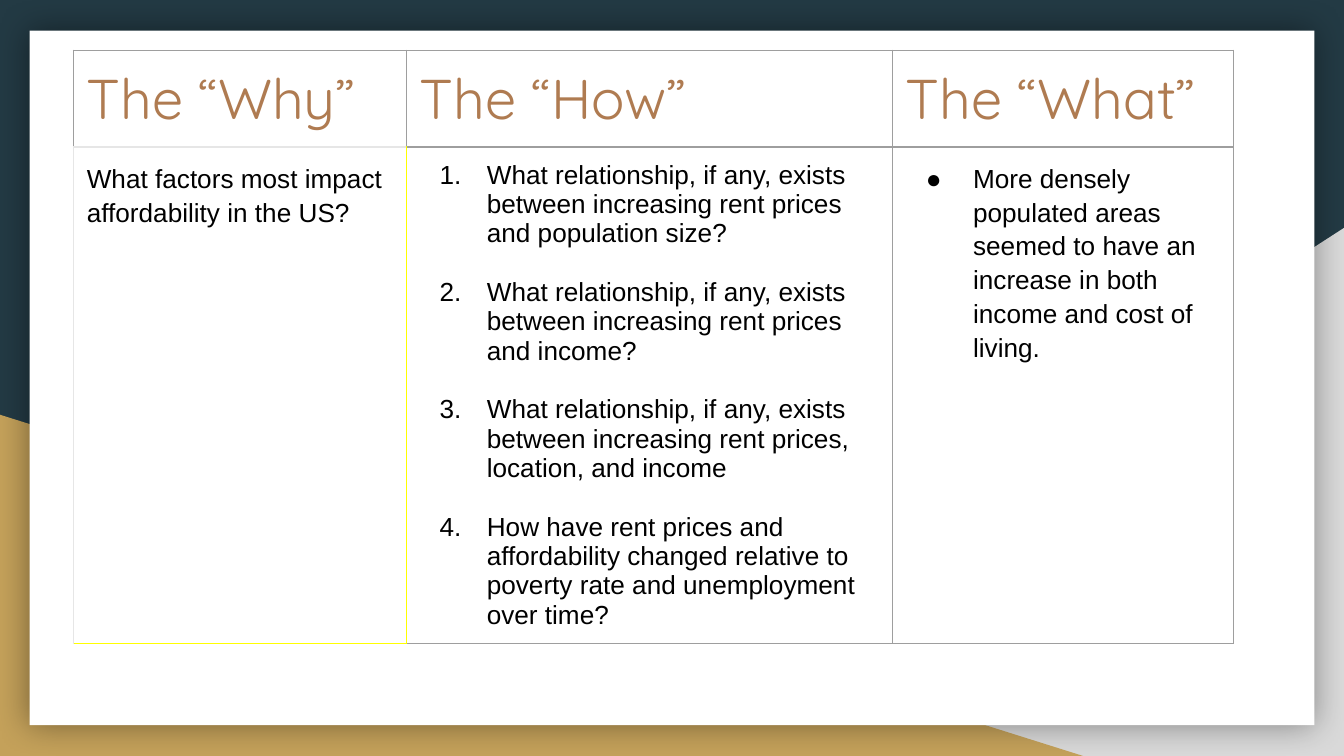
import pptx
import pptx.dml.color
import pptx.enum.shapes
import pptx.oxml
import pptx.oxml.ns
import pptx.util
from lxml import etree

Cm, Pt = pptx.util.Cm, pptx.util.Pt
qn = pptx.oxml.ns.qn
MSO_SHAPE = pptx.enum.shapes.MSO_SHAPE

HEADINGS = ["The “Why”", "The “How”", "The “What”"]
COLUMNS = [
    {"marker": None, "line_spacing": 1.15, "points": [
        "What factors most impact affordability in the US?"]},
    {"marker": "number", "line_spacing": 1, "points": [
        "What relationship, if any, exists between increasing rent prices and population size?",
        "What relationship, if any, exists between increasing rent prices and income?",
        "What relationship, if any, exists between increasing rent prices, location, and income",
        "How have rent prices and affordability changed relative to poverty rate and "
        "unemployment over time?"]},
    {"marker": "bullet", "line_spacing": 1.15, "points": [
        "More densely populated areas seemed to have an increase in both income and cost "
        "of living."]},
]

THEME = {
    "background": "233A44", "corner_grey": "D9D9D9", "corner_gold": "C4A15A",
    "panel": "FFFFFF", "heading": "AF7B51", "body": "000000",
    "border": "9E9E9E", "faint": "E6E6E6", "accent": "FFFF00",
    "heading_font": "Quicksand", "body_font": "Arial",
    "heading_size": 30, "body_size": 14, "point_gap": 15.7, "border_width": 0.75,
}

SLIDE_WIDTH, SLIDE_HEIGHT = 25.4, 14.29
TABLE_LEFT, TABLE_TOP = 1.39, 0.95
COLUMN_WIDTHS = [6.29, 9.19, 6.44]
ROW_HEIGHTS = [1.83, 9.39]
CELL_INSET = 0.25
INDENT, HANGING = 1.27, -0.89


def color(role):
    return pptx.dml.color.RGBColor.from_string(THEME[role])


def add_backdrop(slide, preset, role, left, top, width, height):
    shape = slide.shapes.add_shape(preset, Cm(left), Cm(top), Cm(width), Cm(height))
    shape.shadow.inherit = False
    shape.fill.solid()
    shape.fill.fore_color.rgb = color(role)
    shape.line.fill.background()
    return shape


def add_glow_shadow(shape):
    """Soft black shadow spread evenly around the shape."""
    effects = shape.element.spPr.find(qn("a:effectLst"))
    shadow = etree.SubElement(effects, qn("a:outerShdw"), blurRad=str(Pt(18)),
                              dist="0", dir="0", algn="ctr", rotWithShape="0")
    black = etree.SubElement(shadow, qn("a:srgbClr"), val="000000")
    etree.SubElement(black, qn("a:alpha"), val="40000")


def set_borders(cell, left, right, top, bottom):
    properties = cell._tc.get_or_add_tcPr()
    for side, role in zip("LRTB", (left, right, top, bottom)):
        line = etree.SubElement(properties, qn(f"a:ln{side}"),
                                w=str(Pt(THEME["border_width"])))
        fill = etree.SubElement(line, qn("a:solidFill"))
        etree.SubElement(fill, qn("a:srgbClr"), val=THEME[role])


def add_marker(paragraph, marker):
    properties = paragraph._p.get_or_add_pPr()
    properties.set("marL", str(Cm(INDENT)))
    properties.set("indent", str(Cm(HANGING)))
    marker_color = etree.SubElement(properties, qn("a:buClr"))
    etree.SubElement(marker_color, qn("a:srgbClr"), val=THEME["body"])
    etree.SubElement(properties, qn("a:buFont"), typeface=THEME["body_font"])
    if marker == "number":
        etree.SubElement(properties, qn("a:buAutoNum"), type="arabicPeriod")
    else:
        etree.SubElement(properties, qn("a:buChar"), char="●")


def add_run(paragraph, text, style):
    run = paragraph.add_run()
    run.text = text
    run.font.name = THEME[f"{style}_font"]
    run.font.size = Pt(THEME[f"{style}_size"])
    run.font.color.rgb = color(style)


def fill_body(cell, marker, line_spacing, points):
    for index, point in enumerate(points):
        frame = cell.text_frame
        paragraph = frame.add_paragraph() if index else frame.paragraphs[0]
        if marker:
            add_marker(paragraph, marker)
        paragraph.line_spacing = float(line_spacing)
        if index:
            paragraph.space_before = Pt(THEME["point_gap"])
        add_run(paragraph, point, "body")


def add_question_table(slide):
    frame = slide.shapes.add_table(
        len(ROW_HEIGHTS), len(COLUMN_WIDTHS), Cm(TABLE_LEFT), Cm(TABLE_TOP),
        Cm(sum(COLUMN_WIDTHS)), Cm(sum(ROW_HEIGHTS)))
    table = frame.table
    table.first_row = table.horz_banding = False
    for column, width in zip(table.columns, COLUMN_WIDTHS):
        column.width = Cm(width)
    for row, height in zip(table.rows, ROW_HEIGHTS):
        row.height = Cm(height)

    for index, (heading, content) in enumerate(zip(HEADINGS, COLUMNS)):
        head, body = table.cell(0, index), table.cell(1, index)
        first = index == 0
        set_borders(head, "border", "border", "border", "faint" if first else "border")
        if first:
            set_borders(body, "faint", "accent", "faint", "accent")
        else:
            set_borders(body, "accent" if index == 1 else "border",
                        "border", "border", "border")
        for cell in (head, body):
            cell.fill.background()
            cell.margin_left = cell.margin_right = Cm(CELL_INSET)
            cell.margin_top = cell.margin_bottom = Cm(CELL_INSET)
        add_run(head.text_frame.paragraphs[0], heading, "heading")
        fill_body(body, **content)


def main():
    deck = pptx.Presentation()
    deck.slide_width, deck.slide_height = Cm(SLIDE_WIDTH), Cm(SLIDE_HEIGHT)
    slide = deck.slides.add_slide(deck.slide_layouts.get_by_name("Blank"))
    slide.background.fill.solid()
    slide.background.fill.fore_color.rgb = color("background")

    grey_corner = add_backdrop(slide, MSO_SHAPE.RIGHT_TRIANGLE, "corner_grey",
                               9.96, 4.31, 15.44, 9.98)
    grey_corner.element.spPr.find(qn("a:xfrm")).set("flipH", "1")
    add_backdrop(slide, MSO_SHAPE.RIGHT_TRIANGLE, "corner_gold", 0, 7.84, 20.47, 6.45)
    panel = add_backdrop(slide, MSO_SHAPE.RECTANGLE, "panel", 0.56, 0.58, 24.28, 13.13)
    add_glow_shadow(panel)

    add_question_table(slide)
    deck.save("out.pptx")


if __name__ == "__main__":
    main()
